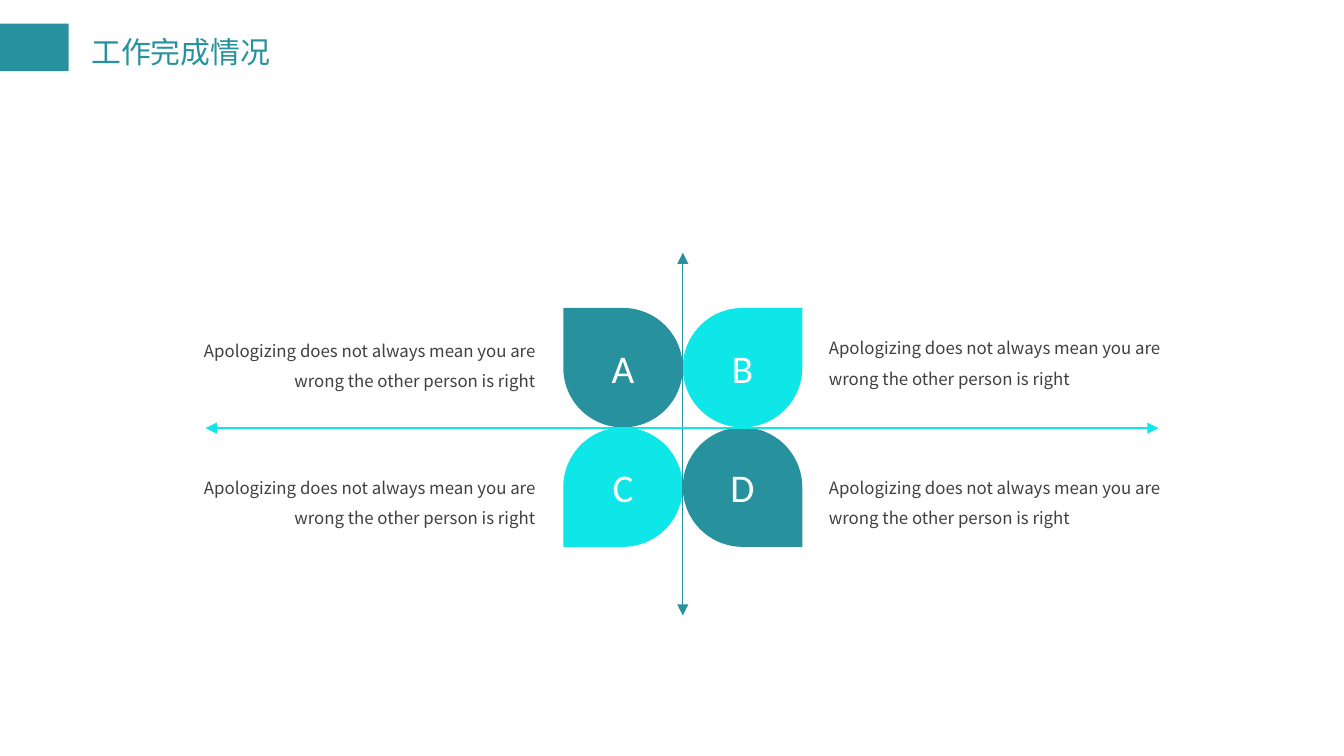
"""Build a slide with four lettered petals around crossed arrows."""
from lxml.etree import SubElement
from pptx import Presentation
from pptx.dml.color import RGBColor
from pptx.enum.shapes import MSO_CONNECTOR, MSO_SHAPE
from pptx.enum.text import MSO_ANCHOR, PP_ALIGN
from pptx.oxml.ns import qn
from pptx.util import Pt

TEAL = RGBColor(0x28, 0x91, 0x9E)
CYAN = RGBColor(0x0F, 0xE6, 0xE7)
GRAY = RGBColor(0x40, 0x40, 0x40)
WHITE = RGBColor(0xFF, 0xFF, 0xFF)
CJK_FONT = "Noto Sans CJK SC"
LETTER_FONT = "Calibri"

TITLE = "工作完成情况"
BODY = "Apologizing does not always mean you are wrong the other person is right"
PETALS = [
    ("A", 0, 0, TEAL, 173.5),
    ("B", 1, 0, CYAN, 172.1),
    ("C", 0, 1, CYAN, 247),
    ("D", 1, 1, TEAL, 247),
]
AXES = [
    ((365.8, 135.4), (365.8, 329.8), TEAL),
    ((110.2, 229.4), (620.6, 229.4), CYAN),
]
CENTER_X, CENTER_Y, PETAL = 365.8, 229, 64
LETTER_W, LETTER_H = 26.6, 32.4
BODY_LEFTS, BODY_W, BODY_H = (102.2, 437), 191.5, 40.3


def set_text(shape, text, size, font_name, color, align):
    paragraph = shape.text_frame.paragraphs[0]
    paragraph.text = text
    paragraph.alignment = align
    font = paragraph.font
    font.size, font.name = Pt(size), font_name
    font.color.rgb = color
    properties = paragraph.runs[0].font
    properties.name = font_name
    SubElement(properties._element, qn("a:ea"), typeface=font_name)
    return paragraph


def add_block(shapes, kind, left, top, width, height, color):
    shape = shapes.add_shape(kind, Pt(left), Pt(top), Pt(width), Pt(height))
    shape.shadow.inherit = False
    shape.fill.solid()
    shape.fill.fore_color.rgb = color
    shape.line.fill.background()
    return shape


def add_title(slide):
    title = slide.shapes.title
    title.left, title.top, title.width, title.height = Pt(43.2), Pt(15.1), Pt(108), Pt(25.2)
    frame = title.text_frame
    frame.word_wrap = False
    frame.vertical_anchor = MSO_ANCHOR.TOP
    frame.margin_left = frame.margin_right = Pt(5.76)
    frame.margin_top = frame.margin_bottom = Pt(2.88)
    set_text(title, TITLE, 16, CJK_FONT, TEAL, PP_ALIGN.LEFT)


def add_petal(slide, letter, column, row, color):
    left = CENTER_X + (column - 1) * PETAL
    top = CENTER_Y + (row - 1) * PETAL
    group = slide.shapes.add_group_shape()
    petal = add_block(group.shapes, MSO_SHAPE.TEAR, left, top, PETAL, PETAL, color)
    transform = petal._element.spPr.xfrm
    if column == 0:
        transform.set("flipH", "1")
    if row == 1:
        transform.set("flipV", "1")
    label = add_block(group.shapes, MSO_SHAPE.RECTANGLE, left + (PETAL - LETTER_W) / 2,
                      top + (PETAL - LETTER_H) / 2, LETTER_W, LETTER_H, color)
    frame = label.text_frame
    frame.margin_left = frame.margin_right = 0
    frame.vertical_anchor = MSO_ANCHOR.TOP
    set_text(label, letter, 21, LETTER_FONT, WHITE, PP_ALIGN.CENTER)


def add_body(slide, column, top):
    box = slide.shapes.add_textbox(Pt(BODY_LEFTS[column]), Pt(top), Pt(BODY_W), Pt(BODY_H))
    box.text_frame.word_wrap = True
    align = PP_ALIGN.LEFT if column else PP_ALIGN.RIGHT
    set_text(box, BODY, 9, CJK_FONT, GRAY, align).line_spacing = 1.5


def add_axis(slide, start, end, color):
    axis = slide.shapes.add_connector(MSO_CONNECTOR.STRAIGHT, *map(Pt, start + end))
    axis.line.color.rgb = color
    axis.line.width = Pt(0.75)
    line = axis.line._get_or_add_ln()
    for name in ("a:headEnd", "a:tailEnd"):
        SubElement(line, qn(name), type="triangle")
    SubElement(axis._element.spPr, qn("a:effectLst"))


def main():
    presentation = Presentation()
    presentation.slide_width, presentation.slide_height = Pt(720), Pt(405)
    slide = presentation.slides.add_slide(presentation.slide_layouts[5])
    add_block(slide.shapes, MSO_SHAPE.RECTANGLE, 0, 12.7, 36.8, 25.4, TEAL)
    add_title(slide)
    for letter, column, row, color, body_top in PETALS:
        add_petal(slide, letter, column, row, color)
        add_body(slide, column, body_top)
    for start, end, color in AXES:
        add_axis(slide, start, end, color)
    presentation.save("out.pptx")


if __name__ == "__main__":
    main()
